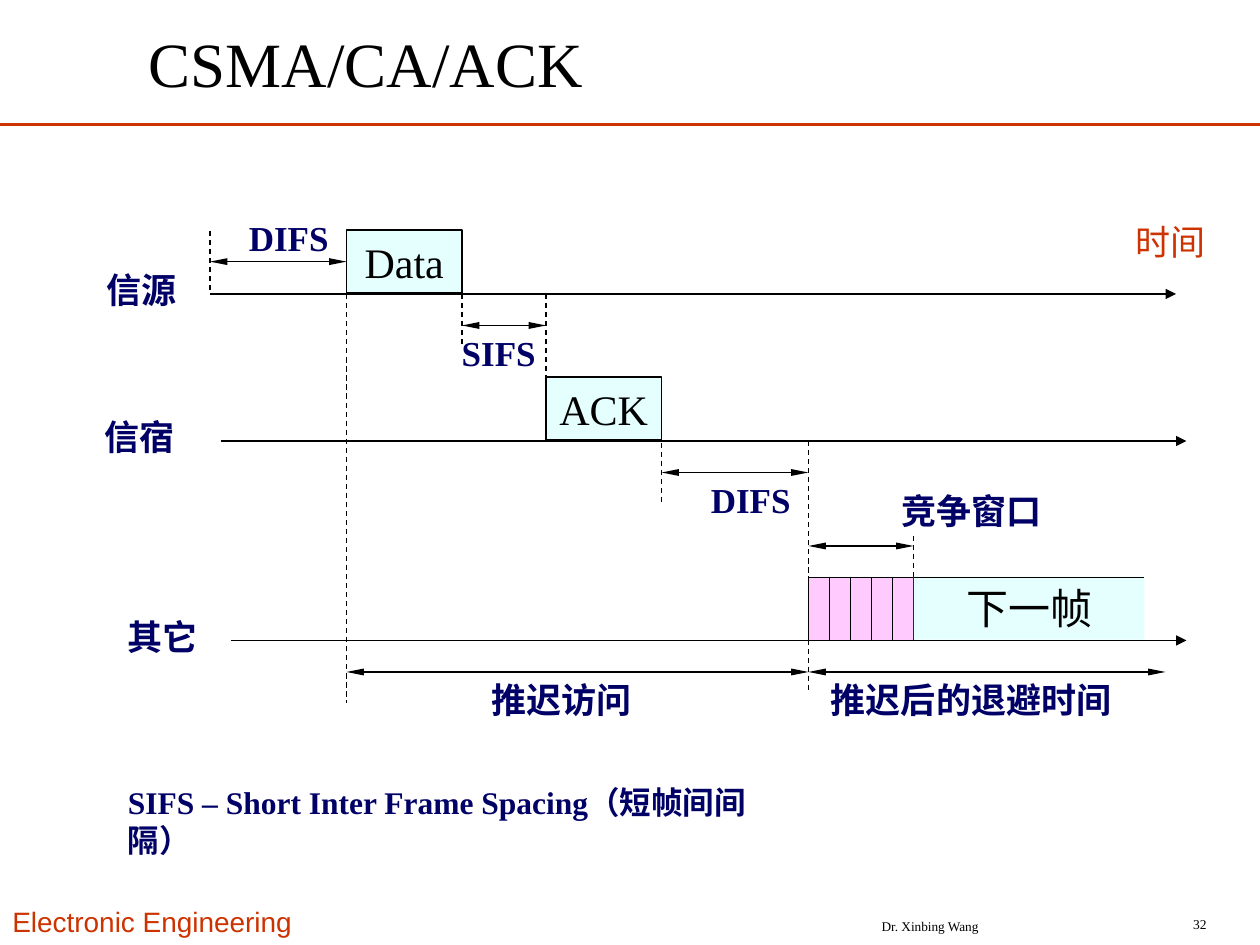
from lxml import etree
from pptx import Presentation
from pptx.dml.color import RGBColor
from pptx.enum.dml import MSO_LINE
from pptx.enum.shapes import MSO_CONNECTOR, MSO_SHAPE
from pptx.enum.text import MSO_ANCHOR, PP_ALIGN
from pptx.oxml.ns import qn
from pptx.util import Pt

STRAIGHT = MSO_CONNECTOR.STRAIGHT
RECT = MSO_SHAPE.RECTANGLE
DASH = MSO_LINE.DASH
TOP, MIDDLE = MSO_ANCHOR.TOP, MSO_ANCHOR.MIDDLE
LEFT, CENTER, RIGHT = PP_ALIGN.LEFT, PP_ALIGN.CENTER, PP_ALIGN.RIGHT
SERIF, SANS = "Times New Roman", "Arial"
C = {name: RGBColor.from_string(value) for name, value in {
    "black": "000000", "navy": "000066", "red": "CC3300",
    "frame": "CCFFFF", "slot": "FF99FF"}.items()}

prs = Presentation()
prs.slide_width, prs.slide_height = Pt(720), Pt(540)
s = prs.slides.add_slide(prs.slide_layouts[6])


def add_line(x1, y1, x2, y2, color="black", width=0.75, dash=None, heads=()):
    """heads lists (end tag, arrowhead width, arrowhead length)."""
    sp = s.shapes.add_connector(STRAIGHT, Pt(x1), Pt(y1), Pt(x2), Pt(y2))
    sp.line.color.rgb = C[color]
    sp.line.width = Pt(width)
    if dash:
        sp.line.dash_style = dash
    ln = sp.line._get_or_add_ln()
    for tag, w, length in heads:
        etree.SubElement(ln, qn(tag), type="triangle", w=w, len=length)
    etree.SubElement(sp._element.spPr, qn("a:effectLst"))
    return sp


def add_text(sp, text, size, color="black", bold=False, align=CENTER,
             anchor=TOP, font=SERIF):
    tf = sp.text_frame
    tf.word_wrap = True
    tf.vertical_anchor = anchor
    p = tf.paragraphs[0]
    p.alignment = align
    r = p.add_run()
    r.text = text
    r.font.size, r.font.bold, r.font.name = Pt(size), bold, font
    r.font.color.rgb = C[color]


AXIS_HEAD = [("a:tailEnd", "med", "med")]
SPAN_HEADS = [("a:headEnd", "sm", "lg"), ("a:tailEnd", "sm", "lg")]

# Moments on the time axis and the baselines of the three stations
START, DATA, DATA_END, ACK, ACK_END, BACKOFF, NEXT = 120, 198, 264, 312, 378, 462, 522
SOURCE, SINK, OTHERS = 168, 252, 366
FRAME_H = 36
FRAME_LIFT = 36.5  # frames sit just above their baseline

add_line(0, 71.25, 720, 71.25, "red", 1.5)

for x1, x2, y in [(START, 672, SOURCE), (126, 678, SINK), (132, 678, OTHERS)]:
    add_line(x1, y, x2, y, heads=AXIS_HEAD)

for x, y1, y2 in [(START, 132, SOURCE), (DATA, 132, 402), (DATA_END, 132, 198),
                  (ACK, SOURCE, SINK), (ACK_END, 222, 288),
                  (BACKOFF, SINK, 396), (NEXT, 306, 336)]:
    add_line(x, y1, x, y2, dash=DASH)

difs_y = SOURCE - FRAME_LIFT + FRAME_H / 2
difs = add_line(START, difs_y, DATA, difs_y, heads=SPAN_HEADS)
for x1, x2, y in [(DATA_END, ACK, 186), (ACK_END, BACKOFF, 270),
                  (BACKOFF, NEXT, 312), (DATA, BACKOFF, 384),
                  (BACKOFF, 666, 384)]:
    add_line(x1, y, x2, y, heads=SPAN_HEADS)

# Contention slots, then the frames: text, left, top, width, fill, outlined
slot_w = (NEXT - BACKOFF) / 5
blocks = [("", BACKOFF + i * slot_w, OTHERS - FRAME_H, slot_w, "slot", True)
          for i in range(5)]
blocks += [
    ("下一帧", NEXT, OTHERS - FRAME_LIFT, 132, "frame", False),
    ("ACK", ACK, SINK - FRAME_LIFT, ACK_END - ACK, "frame", True),
    ("Data", DATA, SOURCE - FRAME_LIFT, DATA_END - DATA, "frame", True),
]
for text, x, y, w, fill, outlined in blocks:
    sp = s.shapes.add_shape(RECT, Pt(x), Pt(y), Pt(w), Pt(FRAME_H))
    sp.shadow.inherit = False
    sp.fill.solid()
    sp.fill.fore_color.rgb = C[fill]
    rgb = sp._element.spPr.find(qn("a:solidFill")).find(qn("a:srgbClr"))
    etree.SubElement(rgb, qn("a:alpha"), val="50000")
    if outlined:
        sp.line.color.rgb = C["black"]
        sp.line.width = Pt(0.75)
    else:
        sp.line.fill.background()
    if text:
        add_text(sp, text, 24)
    if text == "Data":
        difs.end_connect(sp, 1)
add_line(NEXT, OTHERS - FRAME_H, NEXT + 132, OTHERS - FRAME_H)

label = dict(size=20, color="navy", bold=True)
footer = dict(anchor=MIDDLE)
for text, x, y, w, h, style in [
    ("DIFS", 132, 120, 66, 32, label),
    ("SIFS", 252, 186, 66, 32, label),
    ("DIFS", 396, 270, 66, 32, label),
    ("信源", 36, 150, 90, 32, label),
    ("信宿", 18, 234, 124, 32, label),
    ("其它", 66, 348, 66, 32, dict(label, align=LEFT)),
    ("竞争窗口", 462, 276, 186, 32, label),
    ("推迟访问", 228, 384, 186, 32, label),
    ("推迟后的退避时间", 462, 384, 186, 32, label),
    ("时间", 642, 122.4, 60, 32, dict(size=20, color="red", align=LEFT)),
    ("SIFS – Short Inter Frame Spacing（短帧间间隔）", 66, 444, 396, 50,
     dict(label, size=18, align=LEFT)),
    ("CSMA/CA/ACK", 78, 10.8, 477, 50, dict(size=36, align=LEFT, anchor=MIDDLE)),
    ("Electronic Engineering", 0, 513.4, 184, 27,
     dict(size=16, color="red", align=LEFT, font=SANS)),
    ("Dr. Xinbing Wang", 444, 520, 175, 18, dict(footer, size=7.6)),
    ("32", 636.5, 519, 60, 18, dict(footer, size=7.7, align=RIGHT)),
]:
    add_text(s.shapes.add_textbox(Pt(x), Pt(y), Pt(w), Pt(h)), text, **style)

prs.save("out.pptx")
